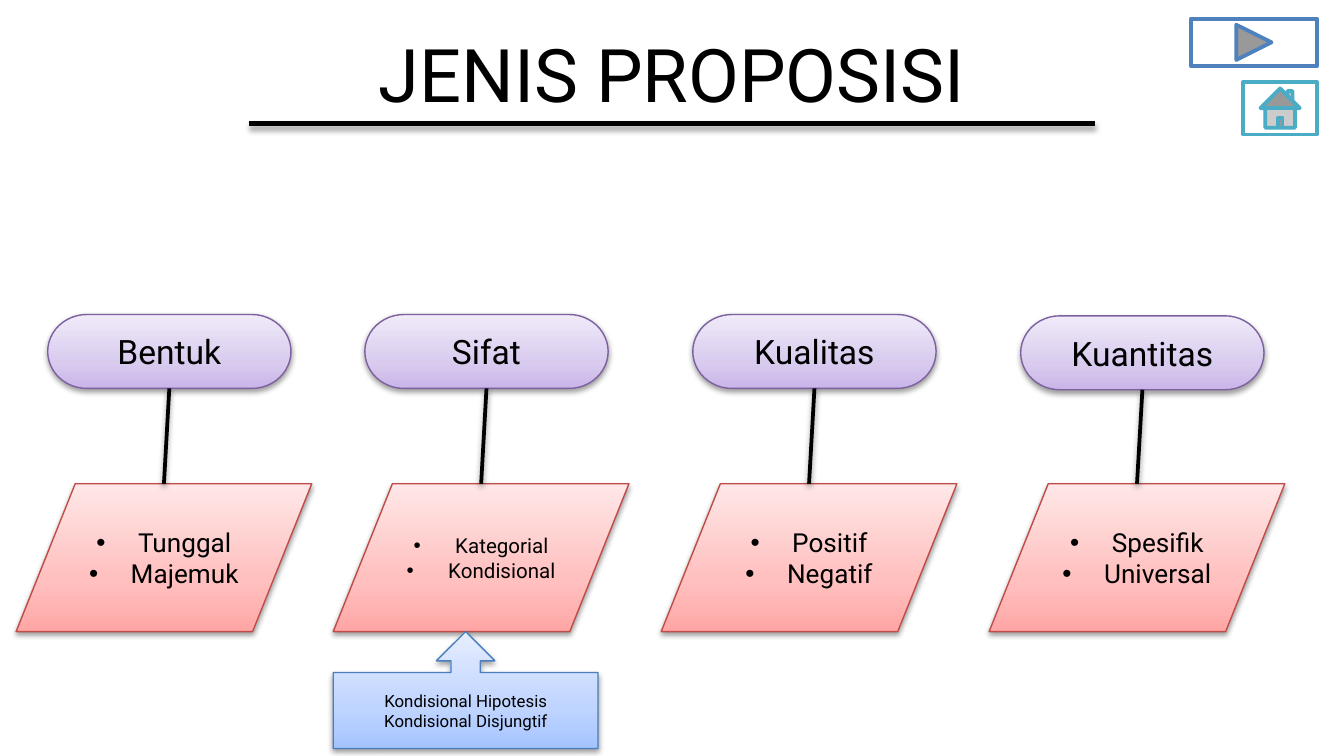
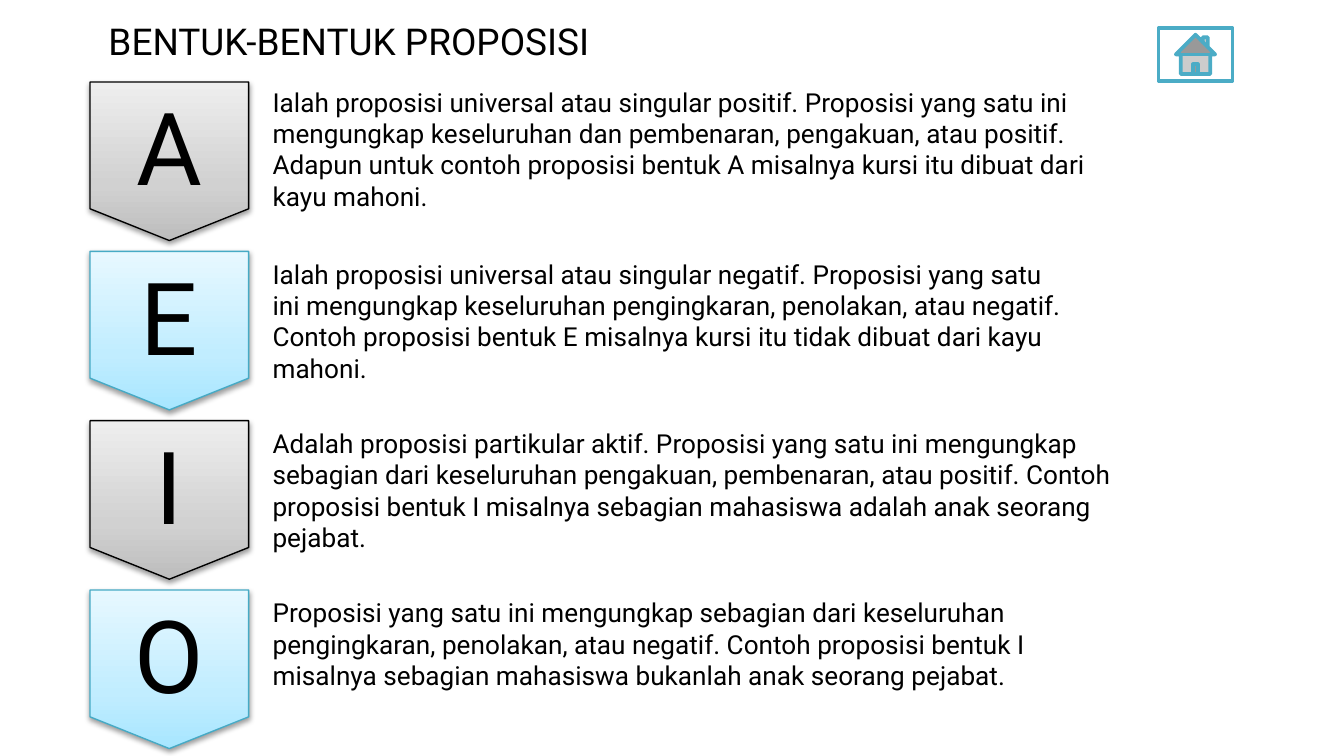
from lxml import etree
from pptx import Presentation
from pptx.dml.color import RGBColor
from pptx.enum.shapes import MSO_CONNECTOR, MSO_SHAPE
from pptx.enum.text import MSO_ANCHOR, MSO_AUTO_SIZE, PP_ALIGN
from pptx.oxml.ns import qn
from pptx.util import Inches, Pt

PILL = MSO_SHAPE.FLOWCHART_TERMINATOR
SLANT = MSO_SHAPE.FLOWCHART_DATA
BADGE = MSO_SHAPE.FLOWCHART_OFFPAGE_CONNECTOR
CALLOUT = MSO_SHAPE.UP_ARROW_CALLOUT
NEXT = MSO_SHAPE.ACTION_BUTTON_FORWARD_OR_NEXT
HOME = MSO_SHAPE.ACTION_BUTTON_HOME
STRAIGHT = MSO_CONNECTOR.STRAIGHT
LEFT, CENTER = PP_ALIGN.LEFT, PP_ALIGN.CENTER
TOP, MIDDLE = MSO_ANCHOR.TOP, MSO_ANCHOR.MIDDLE
GROW = MSO_AUTO_SIZE.SHAPE_TO_FIT_TEXT

FONT = "Roboto"
BLACK = RGBColor(0, 0, 0)
WHITE = RGBColor(255, 255, 255)
BLUE = RGBColor(0x4F, 0x81, 0xBD)
TEAL = RGBColor(0x4B, 0xAC, 0xC6)


def shades(*codes):
    """Turn hex codes into colours: bottom, middle, top and outline."""
    return [RGBColor.from_string(code) for code in codes]


PURPLE = shades("C9B5E8", "D8CBEE", "F0EAF9", "7D60A0")
RED = shades("FFA6A5", "FFC0BF", "FFE7E7", "BF4C48")
SKY = shades("A4C4FF", "BFD4FF", "E6EEFF", "4B7EBC")
GRAY = shades("BDBDBD", "D1D1D1", "EEEEEE", "000000")
AQUA = shades("A7E6FF", "C1EDFF", "E7F8FF", "46AAC5")
STOPS = (0, 35, 100)

# The grid has 100 columns across the slide; its cells are square.
COLS, ROWS = 100, 56.25
CELL = Inches(10) / COLS

KINDS = (
    ("Bentuk", ("Tunggal", "Majemuk"), 14, 1.2, 23.4),
    ("Sifat", ("Kategorial", "Kondisional"), 11, 24.8, 23.4),
    ("Kualitas", ("Positif", "Negatif"), 14, 49.2, 23.4),
    ("Kuantitas", ("Spesifik", "Universal"), 14, 73.6, 23.5),
)

FORMS = (
    ("A", GRAY, 5.9, 63.8,
     "Ialah proposisi universal atau singular positif. Proposisi yang satu "
     "ini mengungkap keseluruhan dan pembenaran, pengakuan, atau positif. "
     "Adapun untuk contoh proposisi bentuk A misalnya kursi itu dibuat dari "
     "kayu mahoni."),
    ("E", AQUA, 18.7, 61.4,
     "Ialah proposisi universal atau singular negatif. Proposisi yang satu "
     "ini mengungkap keseluruhan pengingkaran, penolakan, atau negatif. "
     "Contoh proposisi bentuk E misalnya kursi itu tidak dibuat dari kayu "
     "mahoni."),
    ("I", GRAY, 31.3, 65.4,
     "Adalah proposisi partikular aktif. Proposisi yang satu ini mengungkap "
     "sebagian dari keseluruhan pengakuan, pembenaran, atau positif. Contoh "
     "proposisi bentuk I misalnya sebagian mahasiswa adalah anak seorang "
     "pejabat."),
    ("O", AQUA, 43.9, 66.1,
     "Proposisi yang satu ini mengungkap sebagian dari keseluruhan "
     "pengingkaran, penolakan, atau negatif. Contoh proposisi bentuk I "
     "misalnya sebagian mahasiswa bukanlah anak seorang pejabat."),
)


def grid(*cells):
    """Turn grid cells into lengths."""
    return [round(cell * CELL) for cell in cells]


def tag(parent, name, **attrs):
    """Add a drawing element with attributes."""
    texts = {key: str(value) for key, value in attrs.items()}
    return etree.SubElement(parent, qn("a:" + name), texts)


def shade(item, alpha=38, dist=1.6):
    """Cast a soft black shadow straight down."""
    effects = tag(item._element.spPr, "effectLst")
    outer = tag(effects, "outerShdw", blurRad=Pt(3.1), dist=Pt(dist),
                dir=5400000, rotWithShape=0)
    tag(tag(outer, "srgbClr", val=BLACK), "alpha", val=alpha * 1000)


def blend(shape, colors):
    """Fill a shape with a gradient that rises from the bottom."""
    shape.fill.gradient()
    shape.fill.gradient_angle = 90
    stops = shape._element.spPr.find(".//" + qn("a:gsLst"))
    for old in list(stops):
        stops.remove(old)
    for stop, color in zip(STOPS, colors):
        tag(tag(stops, "gs", pos=stop * 1000), "srgbClr", val=color)


def bullet(para):
    """Give a paragraph a hanging bullet."""
    props = para._p.get_or_add_pPr()
    props.set("marL", str(Inches(0.31)))
    props.set("indent", str(-Inches(0.31)))
    tag(props, "buFont", typeface="Arial")
    tag(props, "buChar", char="•")


def write(shape, *lines, size=14, align=CENTER, anchor=MIDDLE, dots=False):
    """Write lines into a shape, one paragraph each."""
    frame = shape.text_frame
    frame.word_wrap = True
    frame.vertical_anchor = anchor
    for num, line in enumerate(lines):
        para = frame.add_paragraph() if num else frame.paragraphs[0]
        para.alignment = align
        if dots:
            bullet(para)
        run = para.add_run()
        run.text = line
        run.font.name = FONT
        run.font.size = Pt(size)
        run.font.color.rgb = BLACK


def label(slide, cells, text, **style):
    """Add a text box."""
    box = slide.shapes.add_textbox(*grid(*cells))
    write(box, text, **style)
    return box


def block(slide, kind, cells, colors, *lines, **style):
    """Add a shaded gradient shape with text."""
    shape = slide.shapes.add_shape(kind, *grid(*cells))
    blend(shape, colors)
    shape.line.color.rgb = colors[-1]
    shape.line.width = Pt(0.75)
    shade(shape)
    write(shape, *lines, **style)


def rule(slide, ends, width, **shadow):
    """Draw a black line with a shadow."""
    line = slide.shapes.add_connector(STRAIGHT, *grid(*ends))
    line.line.color.rgb = BLACK
    line.line.width = Pt(width)
    shade(line, **shadow)


def button(slide, kind, cells, color):
    """Add a white button with a coloured outline."""
    shape = slide.shapes.add_shape(kind, *grid(*cells))
    shape.shadow.inherit = False
    shape.fill.solid()
    shape.fill.fore_color.rgb = WHITE
    shape.line.color.rgb = color
    shape.line.width = Pt(2)


def home(slide, left, top):
    """Add the home button."""
    button(slide, HOME, (left, top, 5.5, 3.9), TEAL)


def draw_kinds(slide):
    """Draw the four kinds of proposition."""
    label(slide, (9.8, 2.3, 80.4, 6.2), "JENIS PROPOSISI", size=39.6)
    rule(slide, (18.5, 9.2, 81.5, 9.2), 3, alpha=35, dist=1.8)
    for name, parts, size, left, top in KINDS:
        block(slide, PILL, (left + 2.35, top, 18.1, 5.5), PURPLE, name,
              size=18)
        block(slide, SLANT, (left, 36, 22, 11), RED, *parts, size=size,
              dots=True)
        rule(slide, (left + 11.4, top + 5.5, left + 11, 36), 2)
    block(slide, CALLOUT, (24.8, 47, 19.7, 8.7), SKY,
          "Kondisional Hipotesis", "Kondisional Disjungtif", size=9)
    button(slide, NEXT, (88.6, 1.4, 9.4, 3.5), BLUE)
    home(slide, 92.5, 6.1)


def draw_forms(slide):
    """Draw the four lettered forms with their meaning."""
    label(slide, (5, -0.1, 41.9, 6.2), "BENTUK-BENTUK PROPOSISI", size=19.8)
    for row, (letter, colors, top, width, text) in enumerate(FORMS):
        block(slide, BADGE, (6.7, 6.1 + 12.6 * row, 11.8, 11.8), colors,
              letter, size=54)
        box = label(slide, (19.3, top, width, 10.4), text, align=LEFT,
                    anchor=TOP)
        box.text_frame.auto_size = GROW
    home(slide, 86.2, 2.1)


def main():
    """Build and save both slides."""
    deck = Presentation()
    deck.slide_width, deck.slide_height = grid(COLS, ROWS)
    for draw in (draw_kinds, draw_forms):
        draw(deck.slides.add_slide(deck.slide_layouts[6]))
    deck.save("out.pptx")


main()
